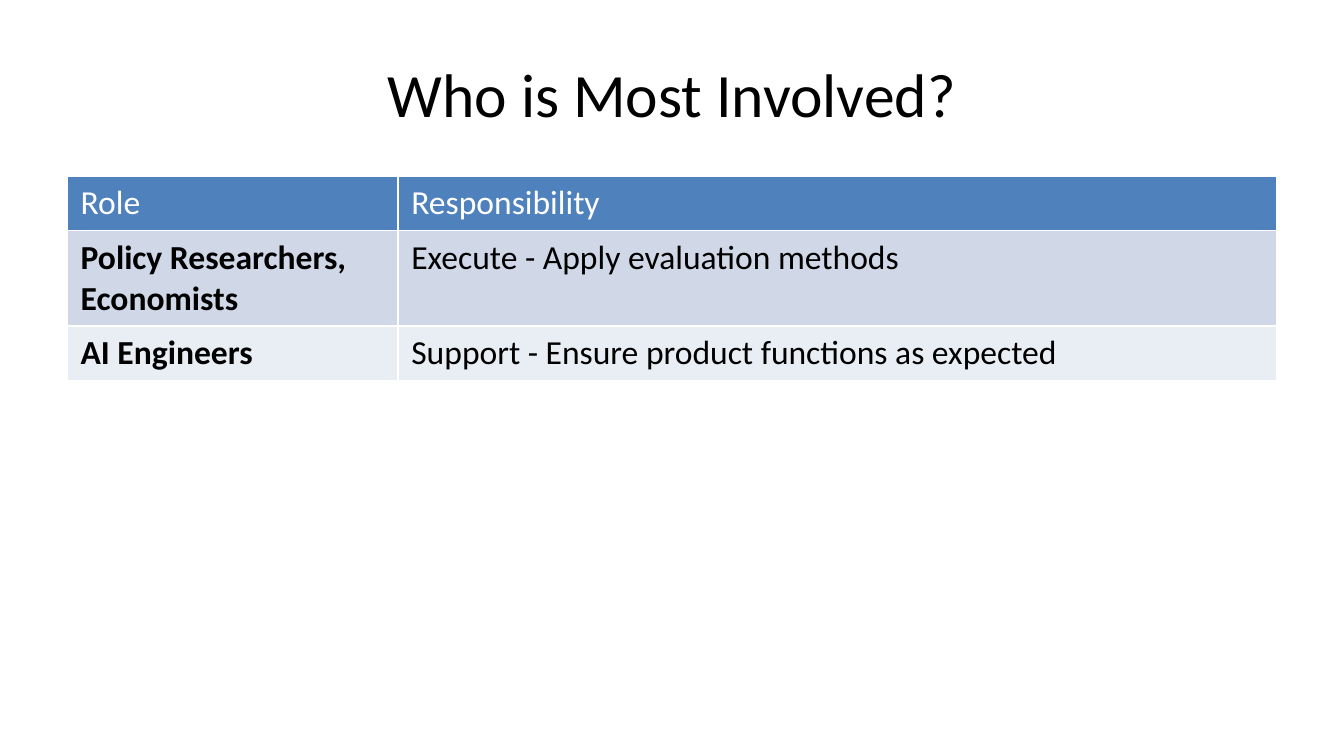
import pptx
import pptx.util
import pptx.dml.color
import pptx.enum.text
from pptx.util import Cm

# Content
TITLE = "Who is Most Involved?"
ROWS = [
    ("Role", "Responsibility"),
    ("Policy Researchers, Economists", "Execute - Apply evaluation methods"),
    ("AI Engineers", "Support - Ensure product functions as expected"),
]

# Colours and type
THEME = {
    "font": "Calibri",
    "title_size": 33,
    "body_size": 18,
    "text": "000000",
    "header_text": "FFFFFF",
    "header_fill": "4F81BD",
    "bands": ("D0D8E8", "E9EDF4"),
}

# Layout
MARGIN = Cm(1.27)
COL_WIDTHS = (Cm(6.25), Cm(16.61))
ROW_HEIGHTS = (Cm(1.02), Cm(1.8), Cm(1.02))


def rgb(value):
    return pptx.dml.color.RGBColor.from_string(value)


def write(tf, text, size=THEME["body_size"], color=THEME["text"], bold=False,
          align=pptx.enum.text.PP_ALIGN.LEFT):
    p = tf.paragraphs[0]
    p.alignment = align
    r = p.add_run()
    r.text = text
    r.font.name = THEME["font"]
    r.font.size = pptx.util.Pt(size)
    r.font.bold = bold
    r.font.color.rgb = rgb(color)


prs = pptx.Presentation()
prs.slide_width, prs.slide_height = Cm(25.4), Cm(14.29)
s = prs.slides.add_slide(prs.slide_layouts[5])
content_width = sum(COL_WIDTHS)

# Title
title = s.shapes.title
title.left, title.top = MARGIN, Cm(0.57)
title.width, title.height = content_width, Cm(2.38)
title.text_frame.vertical_anchor = pptx.enum.text.MSO_ANCHOR.MIDDLE
write(title.text_frame, TITLE, size=THEME["title_size"],
      align=pptx.enum.text.PP_ALIGN.CENTER)

# Table: header row, then alternating bands with bold roles
table = s.shapes.add_table(len(ROWS), len(COL_WIDTHS), MARGIN, Cm(3.33),
                           content_width, sum(ROW_HEIGHTS)).table
for column, width in zip(table.columns, COL_WIDTHS):
    column.width = width
for i, (row, height, texts) in enumerate(zip(table.rows, ROW_HEIGHTS, ROWS)):
    row.height = height
    header = i == 0
    fill = THEME["header_fill"] if header else THEME["bands"][(i - 1) % 2]
    for j, (cell, text) in enumerate(zip(row.cells, texts)):
        cell.fill.solid()
        cell.fill.fore_color.rgb = rgb(fill)
        write(cell.text_frame, text, bold=not header and j == 0,
              color=THEME["header_text" if header else "text"])

prs.save("out.pptx")
